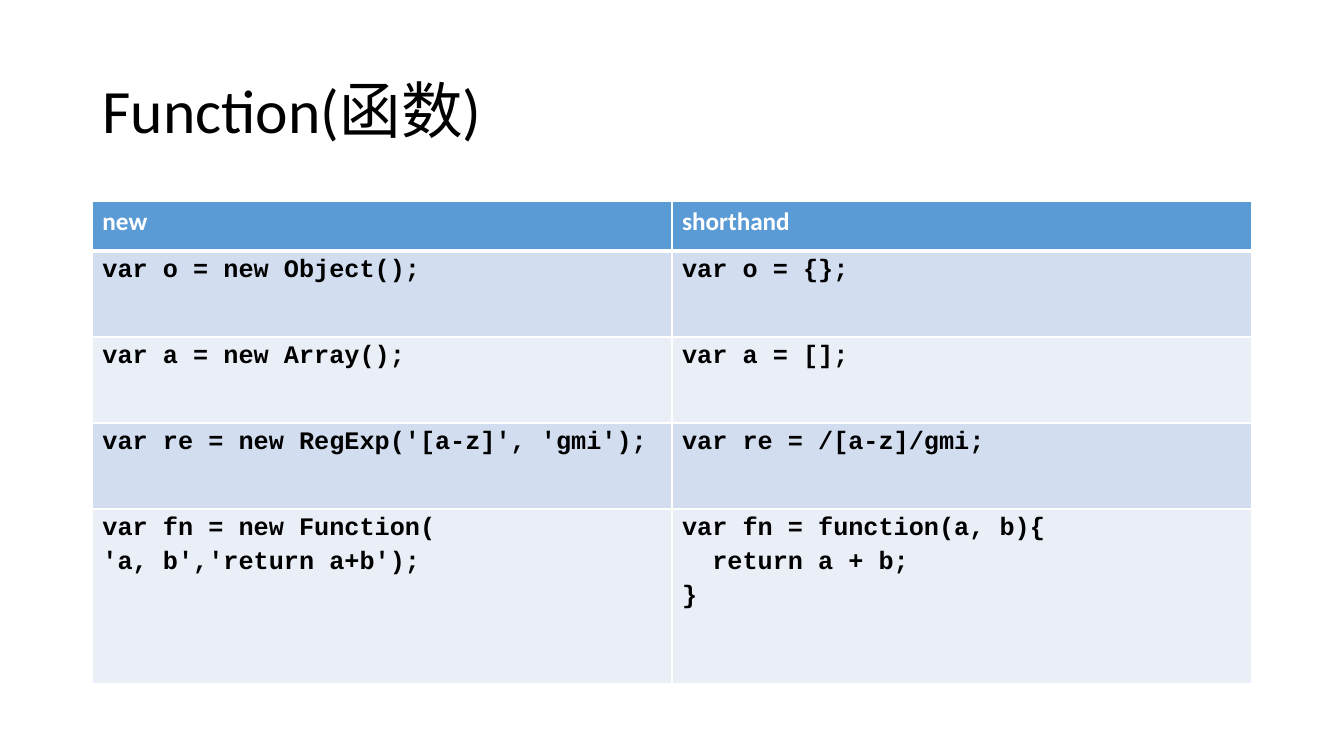
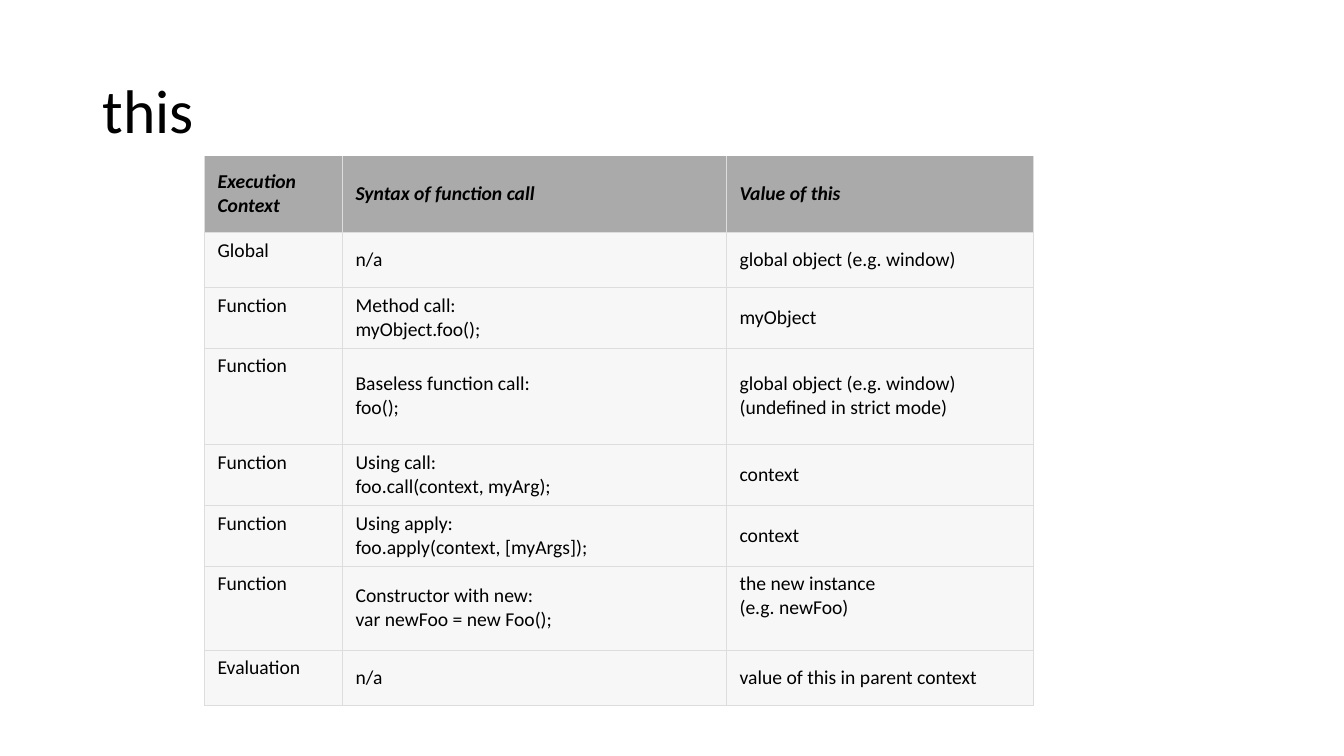
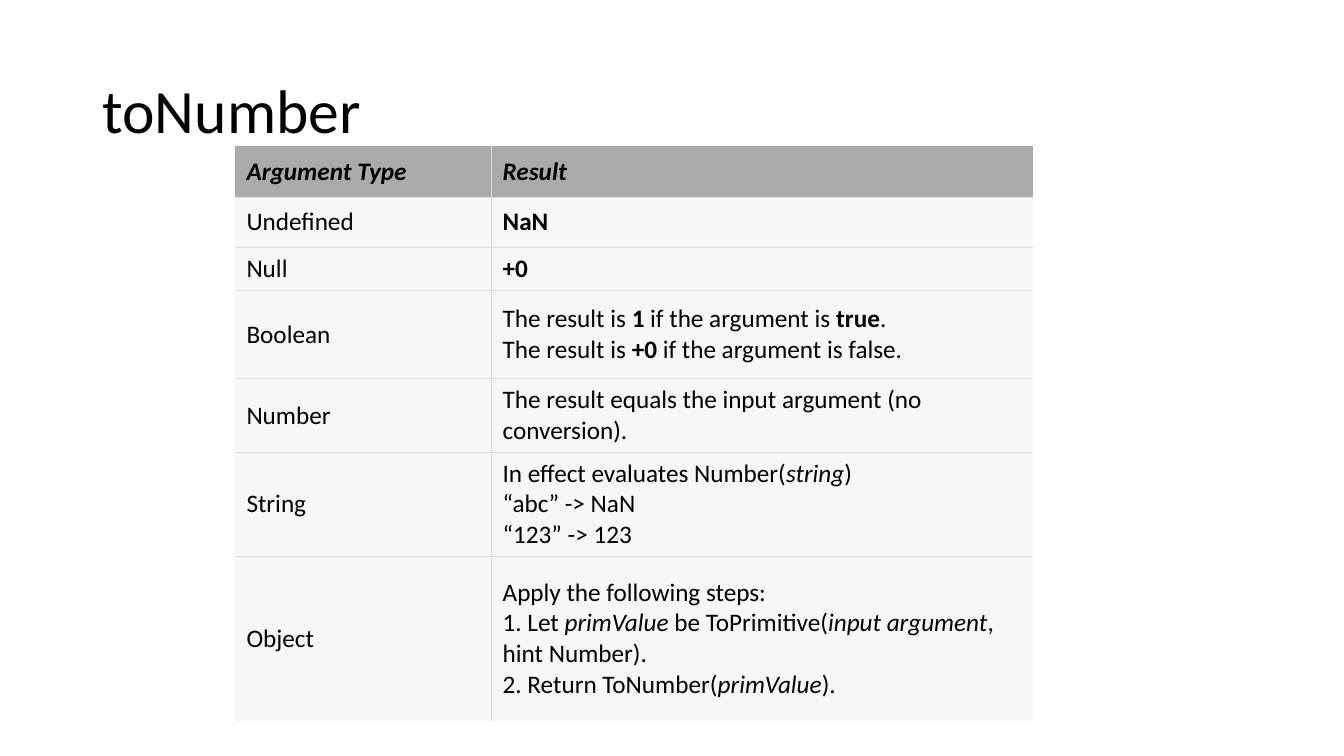
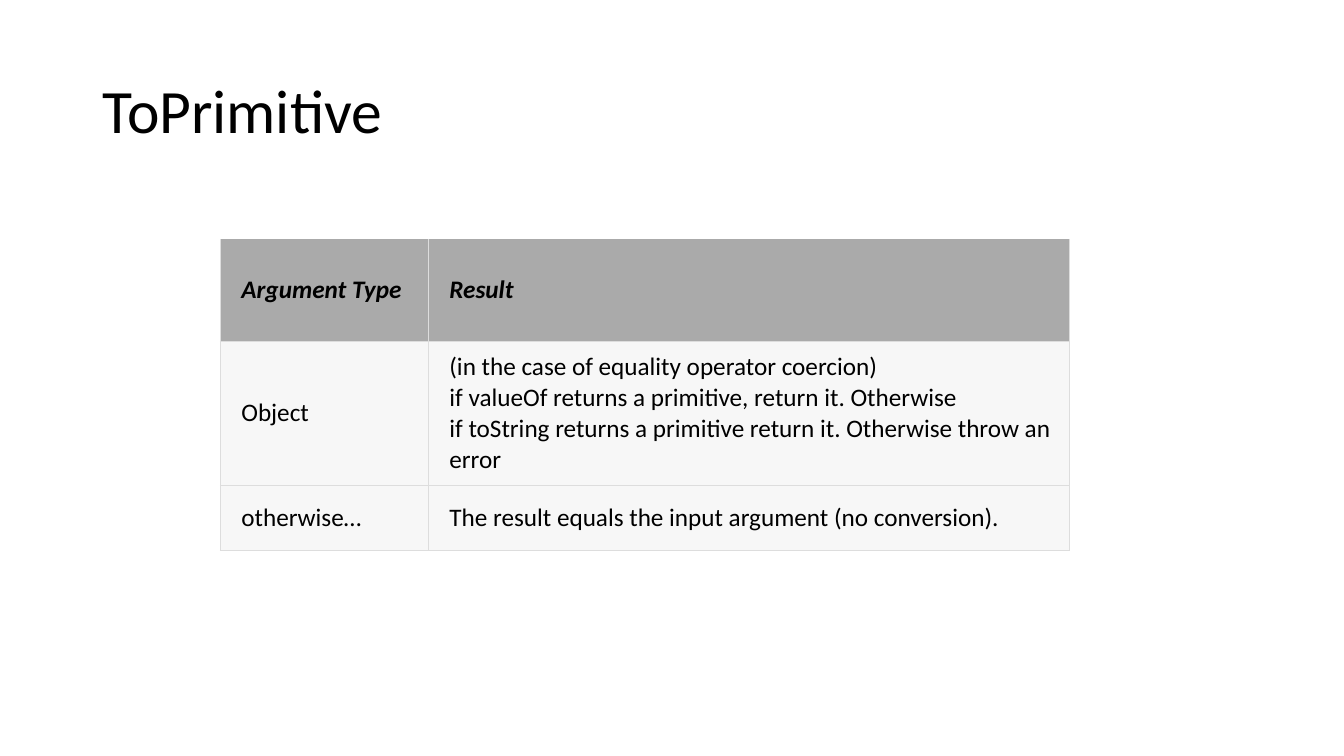
from dataclasses import dataclass

from lxml.etree import SubElement
from pptx import Presentation
from pptx.dml.color import RGBColor
from pptx.enum.text import MSO_ANCHOR as Anchor, MSO_AUTO_SIZE as AutoSize, PP_ALIGN as Align
from pptx.oxml.ns import qn
from pptx.util import Pt


@dataclass(frozen=True)
class Theme:
    font: str = "Calibri"
    code_font: str = "Courier New"
    title_size: float = 44
    body_size: float = 18
    small_size: float = 14
    black: str = "000000"
    white: str = "FFFFFF"
    blue: str = "5B9BD5"
    bands: tuple = ("D2DEEF", "EAEFF7")
    grey: str = "AAAAAA"
    pale: str = "F7F7F7"
    rule: str = "DDDDDD"


THEME = Theme()


@dataclass(frozen=True)
class TableStyle:
    header_fill: str = THEME.grey
    header_color: str = THEME.black
    header_italic: bool = True
    header_rule: float = 0.75
    fills: tuple = (THEME.pale,)
    font: str = THEME.font
    size: float = THEME.body_size
    bold: bool = False
    rule: str = THEME.rule
    rule_width: float = 0.75
    outer_rules: bool = True
    anchor: Anchor = Anchor.MIDDLE
    line_gap: float = 0
    margins: tuple = (7.2, 3.6, 7.2, 3.6)  # left, top, right, bottom


CODE_STYLE = TableStyle(
    header_fill=THEME.blue, header_color=THEME.white, header_italic=False, header_rule=3,
    fills=THEME.bands, font=THEME.code_font, bold=True, rule=THEME.white, rule_width=1,
    anchor=Anchor.TOP, line_gap=4)
CONTEXT_STYLE = TableStyle(size=THEME.small_size, margins=(9.2, 4.5, 4.5, 4.5))
NUMBER_STYLE = TableStyle(outer_rules=False, margins=(8.2, 4.1, 4.1, 4.1))
PRIMITIVE_STYLE = TableStyle(margins=(15, 7.4, 7.4, 7.4))

# A cell is a list of lines or a string; a line is a string or a list of spans;
# a span is a string or a (text, "bold" | "italic") pair.
SLIDES = [
    dict(title="Function(函数)", style=CODE_STYLE, at=(66, 144.2),
         columns=(414, 414), heights=(35.2, 61.4, 61.4, 61.4, 125),
         rows=[
             ("new", "shorthand"),
             ("var o = new Object();", "var o = {};"),
             ("var a = new Array();", "var a = [];"),
             ("var re = new RegExp('[a-z]', 'gmi');", "var re = /[a-z]/gmi;"),
             (["var fn = new Function(", "'a, b','return a+b');"],
              ["var fn = function(a, b){", "  return a + b;", "}"]),
         ]),
    dict(title="this", style=CONTEXT_STYLE, at=(146.2, 111.5),
         columns=(98.6, 274.3, 219.4),
         heights=(54.3, 39.4, 43.5, 68.7, 43.5, 43.5, 60, 39.4),
         top_cells={(row, 0) for row in range(1, 8)} | {(6, 2)},
         rows=[
             ("Execution Context", "Syntax of function call", "Value of this"),
             ("Global", "n/a", "global object (e.g. window)"),
             ("Function", ["Method call:", "myObject.foo();"], "myObject"),
             ("Function", ["Baseless function call:", "foo();"],
              ["global object (e.g. window)", "(undefined in strict mode)"]),
             ("Function", ["Using call:", "foo.call(context, myArg);"], "context"),
             ("Function", ["Using apply:", "foo.apply(context, [myArgs]);"], "context"),
             ("Function", ["Constructor with new:", "var newFoo = new Foo();"],
              ["the new instance", "(e.g. newFoo)"]),
             ("Evaluation", "n/a", "value of this in parent context"),
         ]),
    dict(title="toNumber", style=NUMBER_STYLE, at=(167.9, 104.4),
         columns=(183, 387), heights=(36.4, 36, 30.6, 63, 52.8, 73.5, 117.7),
         rows=[
             ("Argument Type", "Result"),
             ("Undefined", [[("NaN", "bold")]]),
             ("Null", [[("+0", "bold")]]),
             ("Boolean", [
                 ["The result is ", ("1", "bold"), " if the argument is ", ("true", "bold"), "."],
                 ["The result is ", ("+0", "bold"), " if the argument is false."]]),
             ("Number", "The result equals the input argument (no conversion)."),
             ("String", [
                 ["In effect evaluates Number(", ("string", "italic"), ")"],
                 "“abc” -> NaN",
                 "“123” -> 123"]),
             ("Object", [
                 "Apply the following steps:",
                 ["1. Let ", ("primValue", "italic"), " be ToPrimitive(",
                  ("input argument", "italic"), ", hint Number)."],
                 ["2. Return ToNumber(", ("primValue", "italic"), ")."]]),
         ]),
    dict(title="ToPrimitive", style=PRIMITIVE_STYLE, at=(157.4, 170.7),
         columns=(148.6, 458), heights=(73, 103, 46.3),
         rows=[
             ("Argument Type", "Result"),
             ("Object", [
                 "(in the case of equality operator coercion)",
                 "if valueOf returns a primitive, return it. Otherwise",
                 "if toString returns a primitive return it. Otherwise throw an error"]),
             ("otherwise…", "The result equals the input argument (no conversion)."),
         ]),
]


def as_list(value):
    return [value] if isinstance(value, str) else value


def add_title(page, text):
    title = page.shapes.title
    title.left, title.top, title.width, title.height = Pt(66), Pt(28.75), Pt(828), Pt(104.4)
    frame = title.text_frame
    frame.text = text
    frame.auto_size = AutoSize.NONE
    frame.vertical_anchor = Anchor.MIDDLE
    para = frame.paragraphs[0]
    para.alignment = Align.LEFT
    para.line_spacing = 0.9
    para.font.name, para.font.size = THEME.font, Pt(THEME.title_size)
    para.font.color.rgb = RGBColor.from_string(THEME.black)


def set_borders(cell, color, widths):
    """Draw the left, right, top and bottom rules; a width of 0 hides one."""
    properties = cell._tc.get_or_add_tcPr()
    for side, width in zip("LRTB", widths):
        line = SubElement(properties, qn(f"a:ln{side}"), w=str(Pt(width)))
        if width:
            fill = SubElement(line, qn("a:solidFill"))
            SubElement(fill, qn("a:srgbClr"), val=color)
        else:
            SubElement(line, qn("a:noFill"))


def write_cell(cell, content, style, is_header):
    frame = cell.text_frame
    for index, line in enumerate(as_list(content)):
        para = frame.add_paragraph() if index else frame.paragraphs[0]
        if index:
            para.space_before = Pt(style.line_gap)
        font = para.font
        font.name = THEME.font if is_header else style.font
        font.size = Pt(style.size)
        font.bold = is_header or style.bold
        font.italic = is_header and style.header_italic
        font.color.rgb = RGBColor.from_string(style.header_color if is_header else THEME.black)
        for span in as_list(line):
            text, emphasis = (span, None) if isinstance(span, str) else span
            run = para.add_run()
            run.text = text
            if emphasis:
                setattr(run.font, emphasis, True)


def add_grid(page, style, at, columns, heights, rows, top_cells=()):
    left, top = at
    table = page.shapes.add_table(
        len(rows), len(columns), Pt(left), Pt(top), Pt(sum(columns)), Pt(sum(heights))).table
    table.horz_banding = False
    for column, width in zip(table.columns, columns):
        column.width = Pt(width)
    for table_row, height in zip(table.rows, heights):
        table_row.height = Pt(height)

    outer = style.rule_width if style.outer_rules else 0
    last_row, last_col = len(rows) - 1, len(columns) - 1
    for row, contents in enumerate(rows):
        is_header = row == 0
        for col, content in enumerate(contents):
            cell = table.cell(row, col)
            cell.margin_left, cell.margin_top, cell.margin_right, cell.margin_bottom = map(
                Pt, style.margins)
            cell.vertical_anchor = Anchor.TOP if (row, col) in top_cells else style.anchor
            set_borders(cell, style.rule, (
                outer if col == 0 else style.rule_width,
                outer if col == last_col else style.rule_width,
                (0, style.header_rule)[row] if row < 2 else style.rule_width,
                style.header_rule if is_header else outer if row == last_row else style.rule_width))
            cell.fill.solid()
            fill = style.header_fill if is_header else style.fills[(row - 1) % len(style.fills)]
            cell.fill.fore_color.rgb = RGBColor.from_string(fill)
            write_cell(cell, content, style, is_header)


def main():
    deck = Presentation()
    deck.slide_width, deck.slide_height = Pt(960), Pt(540)
    title_only = deck.slide_layouts[5]
    for content in SLIDES:
        page = deck.slides.add_slide(title_only)
        add_title(page, content["title"])
        add_grid(page, **{key: value for key, value in content.items() if key != "title"})
    deck.save("out.pptx")


if __name__ == "__main__":
    main()
